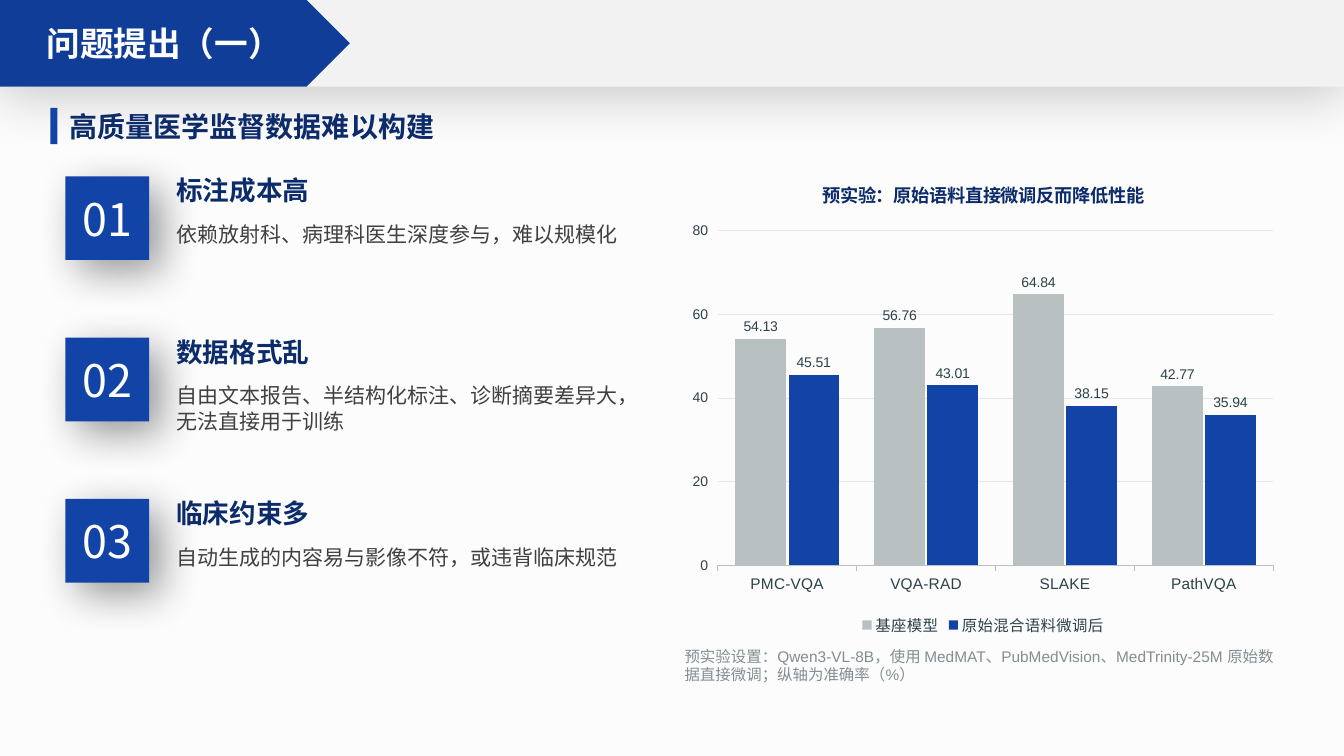
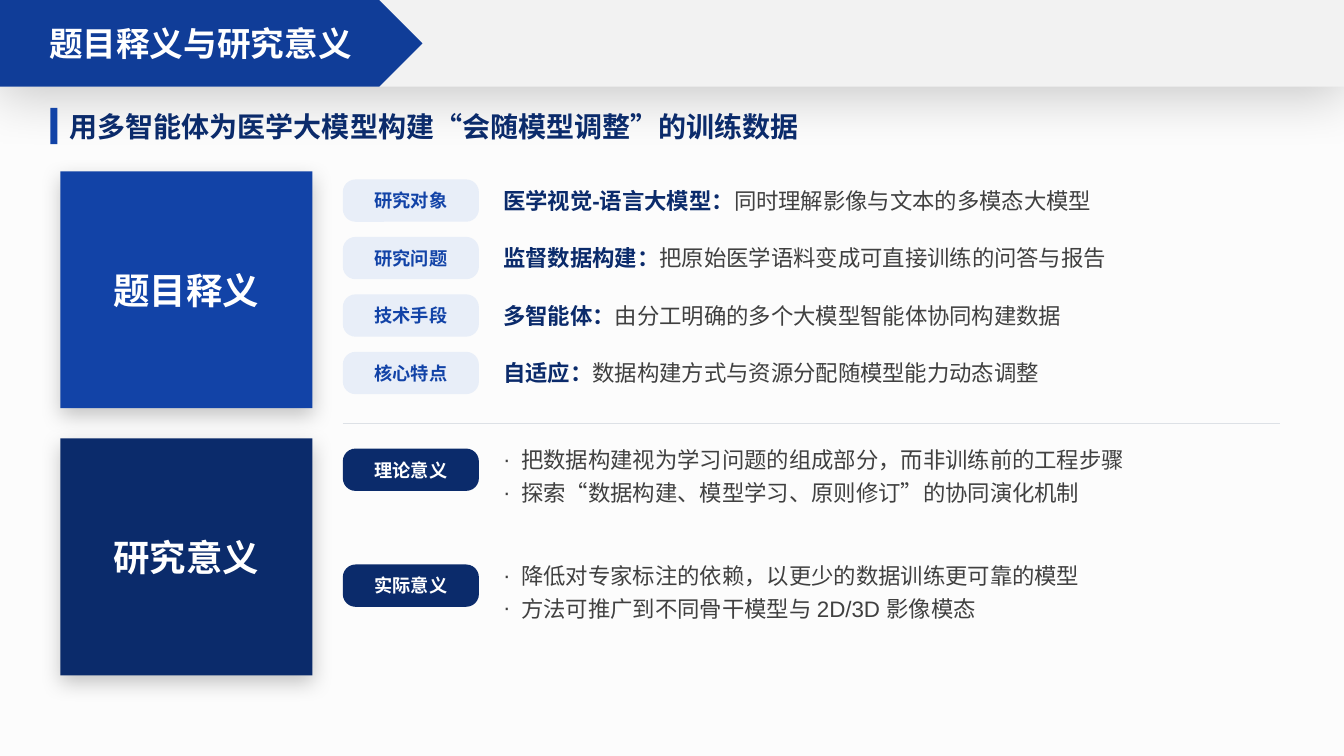
from lxml.etree import SubElement
from pptx import Presentation
from pptx.chart.data import CategoryChartData
from pptx.dml.color import RGBColor
from pptx.enum.chart import XL_CHART_TYPE, XL_LABEL_POSITION, XL_LEGEND_POSITION, XL_TICK_MARK
from pptx.enum.lang import MSO_LANGUAGE_ID
from pptx.enum.shapes import MSO_CONNECTOR, MSO_SHAPE
from pptx.enum.text import MSO_ANCHOR, MSO_AUTO_SIZE, PP_ALIGN
from pptx.oxml.ns import qn
from pptx.util import Inches, Pt

BLUE = RGBColor(0x12, 0x43, 0xA7)
PLATE_BLUE = RGBColor(0x10, 0x3D, 0x98)
NAVY = RGBColor(0x0B, 0x2B, 0x6B)
PALE_BLUE = RGBColor(0xE8, 0xEE, 0xF8)
WHITE = RGBColor(0xFF, 0xFF, 0xFF)
PAPER = RGBColor(0xFC, 0xFC, 0xFC)
BAND_GREY = RGBColor(0xF2, 0xF2, 0xF2)
TEXT_GREY = RGBColor(0x40, 0x40, 0x40)
NOTE_GREY = RGBColor(0x82, 0x8E, 0x93)
BAR_GREY = RGBColor(0xB8, 0xC0, 0xC2)
GRID_GREY = RGBColor(0xE3, 0xE6, 0xEA)
RULE_GREY = RGBColor(0xDD, 0xE1, 0xE6)
CHART_TEXT = RGBColor(0x2D, 0x41, 0x4A)

LATIN, CHINESE = "Arial", "Noto Sans CJK SC"
WIDTH, HEIGHT, BAND = 13.33, 7.5, 0.86
NO_INSET = (0, 0)
SMALL_INSET = (0.04, 0.02)
BLOCK_INSET = (0.08, 0.03)

PROBLEMS = [
    ("标注成本高", "依赖放射科、病理科医生深度参与，难以规模化"),
    ("数据格式乱", "自由文本报告、半结构化标注、诊断摘要差异大，无法直接用于训练"),
    ("临床约束多", "自动生成的内容易与影像不符，或违背临床规范"),
]
CHART_TITLE = "预实验：原始语料直接微调反而降低性能"
DATASETS = ["PMC-VQA", "VQA-RAD", "SLAKE", "PathVQA"]
SCORES = [
    ("基座模型", [54.13, 56.76, 64.84, 42.77], BAR_GREY),
    ("原始混合语料微调后", [45.51, 43.01, 38.15, 35.94], BLUE),
]
CHART_NOTE = ("预实验设置：Qwen3-VL-8B，使用 MedMAT、PubMedVision、MedTrinity-25M "
              "原始数据直接微调；纵轴为准确率（%）")
SECTIONS = [("题目释义", BLUE), ("研究意义", NAVY)]
MEANINGS = [
    ("研究对象", "医学视觉-语言大模型：", "同时理解影像与文本的多模态大模型"),
    ("研究问题", "监督数据构建：", "把原始医学语料变成可直接训练的问答与报告"),
    ("技术手段", "多智能体：", "由分工明确的多个大模型智能体协同构建数据"),
    ("核心特点", "自适应：", "数据构建方式与资源分配随模型能力动态调整"),
]
VALUES = [
    ("理论意义", ["把数据构建视为学习问题的组成部分，而非训练前的工程步骤",
              "探索“数据构建、模型学习、原则修订”的协同演化机制"]),
    ("实际意义", ["降低对专家标注的依赖，以更少的数据训练更可靠的模型",
              "方法可推广到不同骨干模型与 2D/3D 影像模态"]),
]


def style_span(span, size, color, bold=False, latin=LATIN):
    font = span.font
    font.size, font.bold, font.name = Pt(size), bold, latin
    font.color.rgb = color
    font.language_id = MSO_LANGUAGE_ID.SIMPLIFIED_CHINESE
    latin_tag = font._element.find(qn("a:latin"))
    east_asian = latin_tag.makeelement(qn("a:ea"), {"typeface": CHINESE})
    latin_tag.addnext(east_asian)


def set_frame(box, inset, anchor):
    frame = box.text_frame
    frame.word_wrap = True
    frame.auto_size = MSO_AUTO_SIZE.NONE
    frame.vertical_anchor = anchor
    frame.margin_left = frame.margin_right = Inches(inset[0])
    frame.margin_top = frame.margin_bottom = Inches(inset[1])
    return frame


def write(box, text, size, color, bold=False, align=PP_ALIGN.LEFT,
          inset=NO_INSET, anchor=MSO_ANCHOR.TOP, latin=LATIN):
    frame = set_frame(box, inset, anchor)
    frame.text = text
    for para in frame.paragraphs:
        para.alignment = align
        for span in para.runs:
            style_span(span, size, color, bold, latin)
    return frame


def place(box, left, top, width, height):
    box.left, box.top = Inches(left), Inches(top)
    box.width, box.height = Inches(width), Inches(height)
    return box


def add_text(page, left, top, width, height):
    return page.shapes.add_textbox(Inches(left), Inches(top), Inches(width), Inches(height))


def add_block(page, left, top, width, height, fill, kind=MSO_SHAPE.RECTANGLE, shadow=None):
    block = page.shapes.add_shape(kind, Inches(left), Inches(top), Inches(width), Inches(height))
    block.fill.solid()
    block.fill.fore_color.rgb = fill
    block.line.fill.background()
    block.shadow.inherit = False
    if shadow:
        opacity, blur, distance, angle = shadow
        effects = block.element.spPr.find(qn("a:effectLst"))
        outer = SubElement(effects, qn("a:outerShdw"), blurRad=str(Pt(blur)), dist=str(Pt(distance)),
                           dir=str(angle * 60000), algn="ctr", rotWithShape="0")
        tint = SubElement(outer, qn("a:srgbClr"), val="000000")
        SubElement(tint, qn("a:alpha"), val=str(opacity * 1000))
    return block


def add_chip(page, top, label, fill, color):
    chip = add_block(page, 3.4, top, 1.35, 0.42, fill, MSO_SHAPE.ROUNDED_RECTANGLE)
    chip.adjustments[0] = 0.3
    write(chip, label, 13, color, True, PP_ALIGN.CENTER, BLOCK_INSET, MSO_ANCHOR.MIDDLE)


def set_master(deck, page):
    master = deck.slide_master
    master.background.fill.solid()
    master.background.fill.fore_color.rgb = PAPER
    band = add_block(page, 0, 0, WIDTH, BAND, BAND_GREY, shadow=(20, 38, 7, 90))
    band.element.nvSpPr.cNvPr.set("id", "90")
    master.element.cSld.spTree.insert(2, band.element)


def add_header(page, title, plate_width, subtitle):
    plate = add_block(page, 0, 0, plate_width, BAND, PLATE_BLUE, MSO_SHAPE.PENTAGON)
    heading = place(page.shapes.title, 0, 0, plate_width - BAND / 4, BAND)
    plate.element.addnext(heading.element)
    write(heading, title, 24, WHITE, True, PP_ALIGN.CENTER, anchor=MSO_ANCHOR.MIDDLE)
    add_block(page, 0.5, 1.07, 0.07, 0.36, BLUE)
    write(add_text(page, 0.65, 1, 12.1, 0.5), subtitle, 20, NAVY, True,
          inset=SMALL_INSET, anchor=MSO_ANCHOR.MIDDLE)


def add_score_chart(page):
    data = CategoryChartData(number_format="0.00")
    data.categories = DATASETS
    for name, scores, color in SCORES:
        data.add_series(name, scores)
    chart = page.shapes.add_chart(XL_CHART_TYPE.COLUMN_CLUSTERED, Inches(6.75), Inches(1.6),
                                  Inches(6), Inches(4.75), data).chart
    chart.font.size, chart.font.name = Pt(11), LATIN
    chart.font.color.rgb = CHART_TEXT
    chart.has_title = True
    chart.chart_title.include_in_layout = False
    heading = chart.chart_title.text_frame.paragraphs[0]
    heading.text = CHART_TITLE
    style_span(heading.runs[0], 13, NAVY, True)
    chart.has_legend = True
    chart.legend.position = XL_LEGEND_POSITION.BOTTOM
    chart.legend.include_in_layout = False
    chart.legend.font.size, chart.legend.font.name = Pt(11), LATIN

    categories, values = chart.category_axis, chart.value_axis
    for axis, size in ((categories, 11), (values, 10)):
        axis.major_tick_mark = XL_TICK_MARK.OUTSIDE
        axis.tick_labels.font.size = Pt(size)
        axis.tick_labels.font.name = LATIN
    categories.format.line.color.rgb = BAR_GREY
    categories.format.line.width = Pt(0.75)
    values.minimum_scale, values.maximum_scale, values.major_unit = 0, 80, 20
    values.tick_labels.number_format = "0"
    values.tick_labels.number_format_is_linked = False
    values.format.line.fill.background()
    values.major_gridlines.format.line.color.rgb = GRID_GREY
    values.major_gridlines.format.line.width = Pt(0.75)

    plot = chart.plots[0]
    plot.gap_width, plot.overlap, plot.vary_by_categories = 70, -5, False
    for series, (name, scores, color) in zip(plot.series, SCORES):
        series.format.fill.solid()
        series.format.fill.fore_color.rgb = color
        labels = series.data_labels
        labels.show_value = True
        labels.position = XL_LABEL_POSITION.OUTSIDE_END
        labels.number_format, labels.number_format_is_linked = "0.00", False
        labels.font.size, labels.font.name = Pt(10), LATIN


def build_problem_page(page):
    add_header(page, "问题提出（一）", 3.47, "高质量医学监督数据难以构建")
    for index, (heading, detail) in enumerate(PROBLEMS):
        top = 1.75 + 1.6 * index
        badge = add_block(page, 0.65, top, 0.83, 0.83, BLUE, shadow=(40, 30, 12, 45))
        write(badge, f"{index + 1:02}", 32, WHITE, align=PP_ALIGN.CENTER,
              anchor=MSO_ANCHOR.MIDDLE, latin=CHINESE)
        write(add_text(page, 1.75, top - 0.02, 4.6, 0.42), heading, 19, NAVY, True)
        frame = write(add_text(page, 1.75, top + 0.45, 4.6, 0.9), detail, 15, TEXT_GREY)
        frame.paragraphs[0].line_spacing = Pt(18)
    add_score_chart(page)
    write(add_text(page, 6.75, 6.4, 6, 0.5), CHART_NOTE, 11, NOTE_GREY, inset=SMALL_INSET)


def write_bullets(box, lines):
    frame = write(box, "\n".join(lines), 16, TEXT_GREY, inset=SMALL_INSET)
    for index, para in enumerate(frame.paragraphs):
        para.space_before = Pt(4 if index else 0)
        properties = para._p.get_or_add_pPr()
        properties.set("marL", str(Inches(0.18)))
        properties.set("indent", str(-Inches(0.18)))
        SubElement(properties, qn("a:buFont"), typeface=LATIN)
        SubElement(properties, qn("a:buChar"), char="·")


def build_meaning_page(page):
    add_header(page, "题目释义与研究意义", 4.19, "用多智能体为医学大模型构建“会随模型调整”的训练数据")
    for index, (label, fill) in enumerate(SECTIONS):
        block = add_block(page, 0.6, 1.7 + 2.65 * index, 2.5, 2.35, fill, shadow=(22, 15, 5, 90))
        write(block, label, 26, WHITE, True, PP_ALIGN.CENTER, BLOCK_INSET, MSO_ANCHOR.MIDDLE)

    for index, (label, lead, detail) in enumerate(MEANINGS):
        top = 1.78 + 0.57 * index
        add_chip(page, top, label, PALE_BLUE, BLUE)
        frame = write(add_text(page, 4.95, top - 0.02, 7.8, 0.46), lead, 16, NAVY, True,
                      inset=SMALL_INSET, anchor=MSO_ANCHOR.MIDDLE)
        span = frame.paragraphs[0].add_run()
        span.text = detail
        style_span(span, 16, TEXT_GREY)

    rule = page.shapes.add_connector(MSO_CONNECTOR.STRAIGHT, Inches(3.4), Inches(4.2),
                                     Inches(12.7), Inches(4.2))
    rule.line.color.rgb = RULE_GREY
    rule.line.width = Pt(1)
    SubElement(rule.element.spPr, qn("a:effectLst"))

    for index, (label, lines) in enumerate(VALUES):
        top = 4.45 + 1.15 * index
        add_chip(page, top, label, NAVY, WHITE)
        write_bullets(place(page.placeholders[index + 1], 4.95, top - 0.04, 7.8, 0.95), lines)


def main():
    deck = Presentation()
    deck.slide_width, deck.slide_height = Inches(WIDTH), Inches(HEIGHT)
    problem_page = deck.slides.add_slide(deck.slide_layouts.get_by_name("Title Only"))
    meaning_page = deck.slides.add_slide(deck.slide_layouts.get_by_name("Two Content"))
    set_master(deck, problem_page)
    build_problem_page(problem_page)
    build_meaning_page(meaning_page)
    deck.save("out.pptx")


if __name__ == "__main__":
    main()
